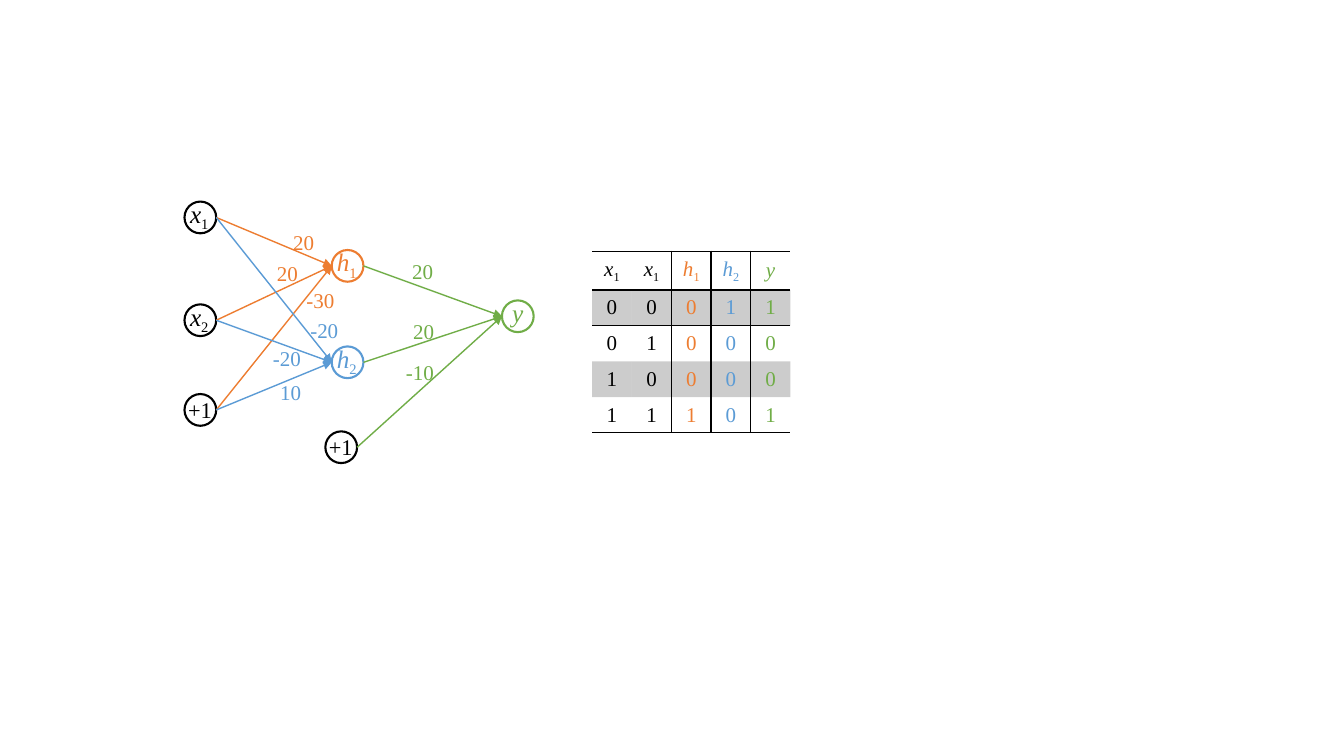
import lxml.etree
import pptx
import pptx.dml.color
import pptx.enum.shapes
import pptx.enum.text
import pptx.oxml.ns
import pptx.util

Cm = pptx.util.Cm
Pt = pptx.util.Pt
RGBColor = pptx.dml.color.RGBColor
qn = pptx.oxml.ns.qn
add_sub = lxml.etree.SubElement

BLACK = RGBColor(0x00, 0x00, 0x00)
ORANGE = RGBColor(0xED, 0x7D, 0x31)
BLUE = RGBColor(0x5B, 0x9B, 0xD5)
GREEN = RGBColor(0x70, 0xAD, 0x47)
FONT = "Times New Roman"
SIZE = 0.8  # node diameter in cm


def write(para, text, size, color):
    """Write text; a variable is an italic letter with a subscript index."""
    is_var = text[0].isalpha()
    parts = list(text) if is_var else [text]
    for part in parts:
        run = para.add_run()
        run.text = part
        run.font.name = FONT
        run.font.size = Pt(size)
        run.font.color.rgb = color
        run.font.italic = part.isalpha()
        if is_var and part.isdigit():
            run.font._element.set("baseline", "-25000")


def label(text, x, y, width, height, size, color):
    """Add a text box centred on x, y (in cm)."""
    box = slide.shapes.add_textbox(
        Cm(x - width / 2), Cm(y - height / 2), Cm(width), Cm(height))
    frame = box.text_frame
    frame.word_wrap = False
    frame.auto_size = pptx.enum.text.MSO_AUTO_SIZE.SHAPE_TO_FIT_TEXT
    write(frame.paragraphs[0], text, size, color)


deck = pptx.Presentation()
deck.slide_width = Cm(33.87)
deck.slide_height = Cm(19.05)
slide = deck.slides.add_slide(deck.slide_layouts[6])

# Nodes: text, centre x, centre y, label width, colour
nodes = {
    "x1": ("x1", 5.05, 5.48, 1.02, BLACK),
    "x2": ("x2", 5.05, 8.07, 1.02, BLACK),
    "bias1": ("+1", 5.05, 10.33, 1.12, BLACK),
    "h1": ("h1", 8.76, 6.7, 1.04, ORANGE),
    "h2": ("h2", 8.76, 9.13, 1.04, BLUE),
    "bias2": ("+1", 8.6, 11.27, 1.12, BLACK),
    "y": ("y", 13.05, 7.97, 0.79, GREEN),
}
for text, x, y, width, color in nodes.values():
    node = slide.shapes.add_shape(
        pptx.enum.shapes.MSO_SHAPE.FLOWCHART_CONNECTOR,
        Cm(x - SIZE / 2), Cm(y - SIZE / 2), Cm(SIZE), Cm(SIZE))
    node.shadow.inherit = False
    node.fill.background()
    node.line.color.rgb = color
    node.line.width = Pt(1.5)

# Edges: start, end, weight, weight centre x, weight centre y
edges = [
    ("x1", "h1", "20", 7.66, 6.11),
    ("x2", "h1", "20", 7.25, 6.9),
    ("bias1", "h1", "-30", 8.08, 7.56),
    ("x1", "h2", "-20", 8.18, 8.32),
    ("x2", "h2", "-20", 7.24, 9.03),
    ("bias1", "h2", "10", 7.33, 9.89),
    ("h1", "y", "20", 10.66, 6.85),
    ("h2", "y", "20", 10.68, 8.34),
    ("bias2", "y", "-10", 10.59, 9.39),
]
for start, end, weight, x, y in edges:
    _, left, top, _, _ = nodes[start]
    _, right, low, _, color = nodes[end]
    edge = slide.shapes.add_connector(
        pptx.enum.shapes.MSO_CONNECTOR.STRAIGHT,
        Cm(left + SIZE / 2), Cm(top), Cm(right - SIZE / 2), Cm(low))
    edge.line.color.rgb = color
    edge.line.width = Pt(1)
    add_sub(edge.line._get_or_add_ln(), qn("a:tailEnd"), type="triangle")
    add_sub(edge._element.spPr, qn("a:effectLst"))
    label(weight, x, y, 1.22 if weight[0] == "-" else 1.04, 0.9, 15, color)

for text, x, y, width, color in nodes.values():
    if text[0].isalpha():
        label(text, x, y - 0.1, width, 1.02, 18, color)
    else:
        label(text, x, y, width, 0.94, 16, color)

# Truth table
rows = [
    ["x1", "x1", "h1", "h2", "y"],
    ["0", "0", "0", "1", "1"],
    ["0", "1", "0", "0", "0"],
    ["1", "0", "0", "0", "0"],
    ["1", "1", "1", "0", "1"],
]
colors = [BLACK, BLACK, ORANGE, BLUE, GREEN]
table = slide.shapes.add_table(
    5, 5, Cm(14.92), Cm(6.33), Cm(5), Cm(4.5)).table
table.first_row = False
table.horz_banding = False
# The built-in style without fills and grid lines
table._tbl.tblPr.find(qn("a:tableStyleId")).text = (
    "{2D5ABB26-0587-4C30-8999-92F81FD0307C}")
for col in table.columns:
    col.width = Cm(1)
for i, row in enumerate(rows):
    table.rows[i].height = Cm(0.9)
    for j, text in enumerate(row):
        cell = table.cell(i, j)
        cell.vertical_anchor = pptx.enum.text.MSO_ANCHOR.MIDDLE
        para = cell.text_frame.paragraphs[0]
        para.alignment = pptx.enum.text.PP_ALIGN.CENTER
        write(para, text, 15, colors[j])
        props = cell._tc.get_or_add_tcPr()
        sides = {"L": j >= 2, "R": 1 <= j <= 3, "T": i <= 1, "B": i in (0, 4)}
        for side, shown in sides.items():
            if shown:
                line = add_sub(props, qn("a:ln" + side), w=str(Pt(1)))
                fill = add_sub(line, qn("a:solidFill"))
                add_sub(fill, qn("a:srgbClr"), val=str(BLACK))
        if i % 2:
            cell.fill.solid()
            cell.fill.fore_color.rgb = BLACK
            shade = props.find(qn("a:solidFill"))[0]
            add_sub(shade, qn("a:alpha"), val="20000")
        else:
            cell.fill.background()

deck.save("out.pptx")
